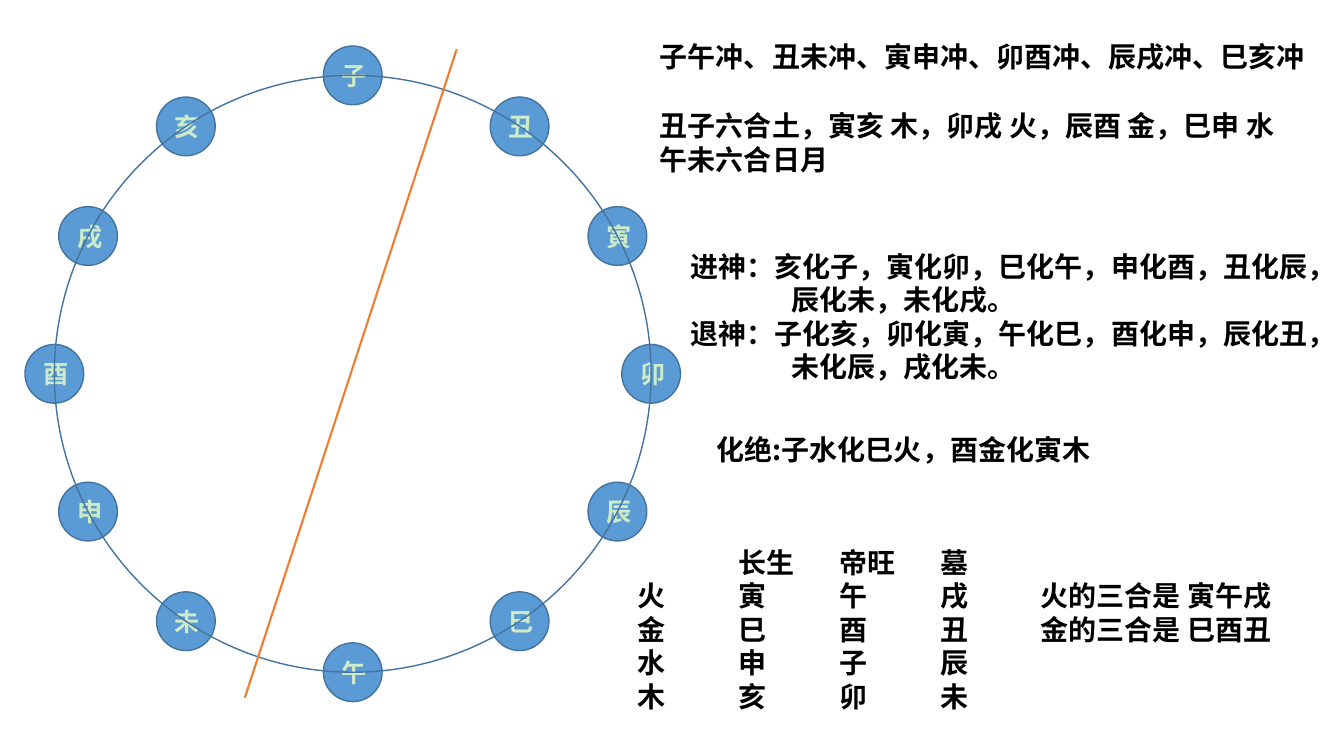
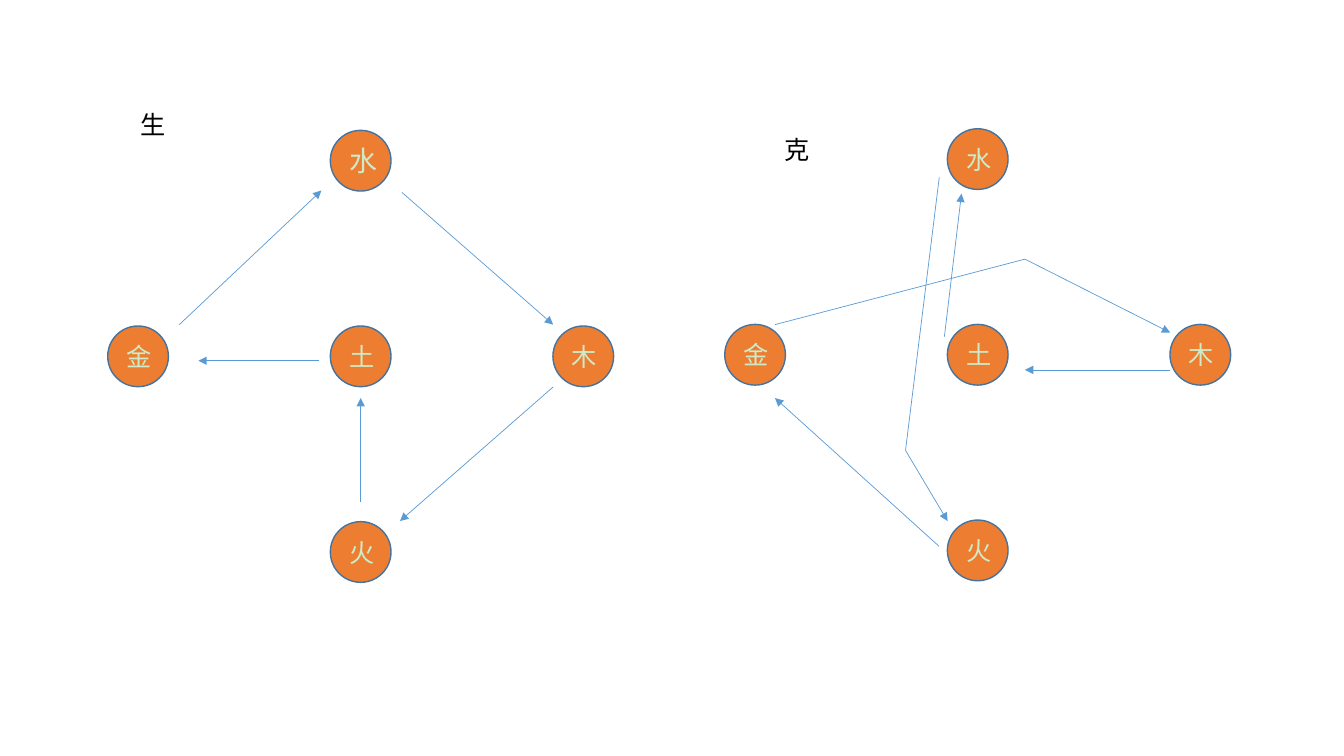
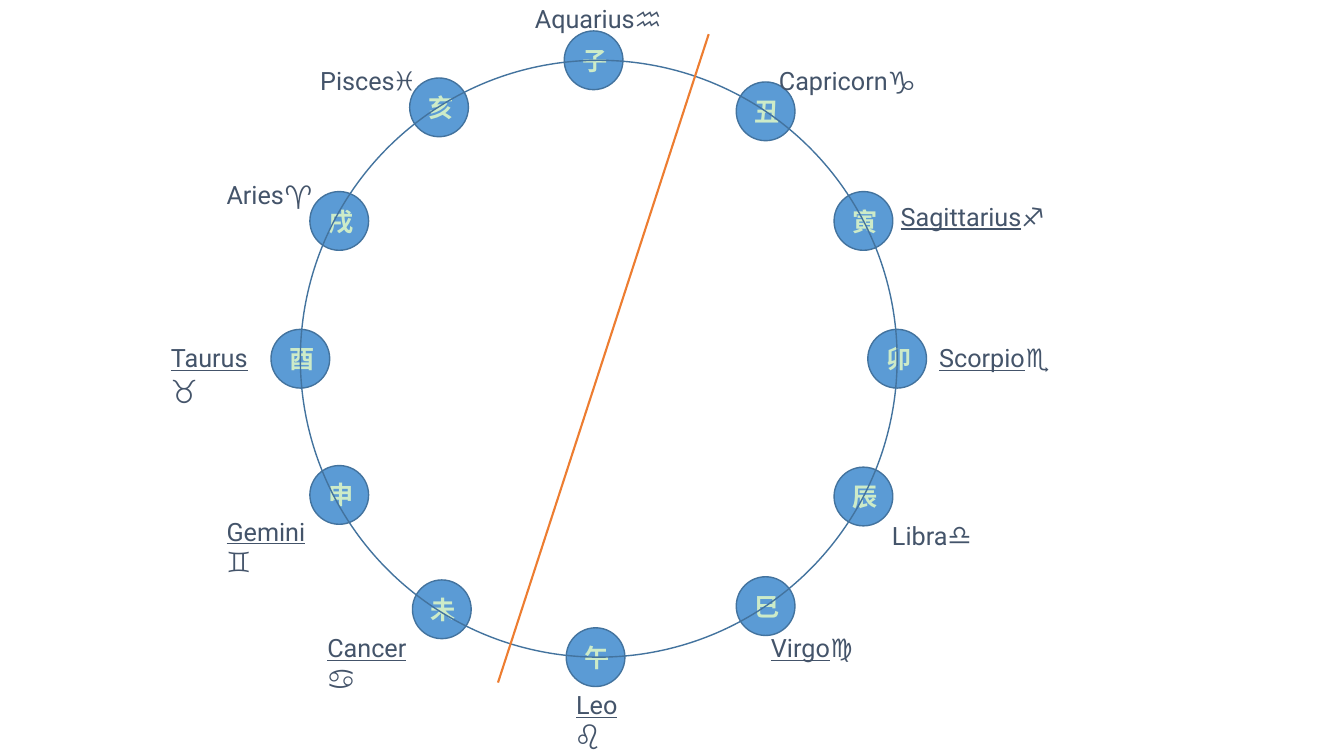
from dataclasses import dataclass
from math import cos, radians, sin

from lxml.etree import SubElement
from pptx import Presentation
from pptx.dml.color import RGBColor as Rgb
from pptx.enum.shapes import MSO_CONNECTOR as Connector, MSO_SHAPE as Preset
from pptx.enum.text import MSO_ANCHOR as Anchor, PP_ALIGN as Align
from pptx.oxml.ns import qn
from pptx.util import Cm, Inches, Pt


@dataclass(frozen=True)
class Theme:
    blue: str = "5B9BD5"
    orange: str = "ED7D31"
    outline: str = "43739E"
    pale: str = "CDEBC8"
    black: str = "000000"
    slate: str = "44546A"
    chinese: str = "Noto Sans CJK SC"
    plain: str = "Calibri"
    zodiac: str = "Roboto"
    label: int = 18
    note: int = 20
    note_pitch: int = 24


theme = Theme()


def put_box(page, left, top, width, height, text="", oval=False, fill=None, font=theme.plain,
            size=theme.label, color=theme.black, bold=False, pitch=None, underlined=0):
    """Add an oval or a text box; underlined counts the leading letters to underline."""
    area = Cm(left), Cm(top), Cm(width), Cm(height)
    if oval:
        box = page.shapes.add_shape(Preset.OVAL, *area)
        box.shadow.inherit = False
        box.line.color.rgb = Rgb.from_string(theme.outline)
        box.line.width = Pt(1)
        if fill:
            box.fill.solid()
            box.fill.fore_color.rgb = Rgb.from_string(fill)
        else:
            box.fill.background()
    else:
        box = page.shapes.add_textbox(*area)
    frame = box.text_frame
    frame.word_wrap = True
    frame.vertical_anchor = Anchor.MIDDLE if oval else Anchor.TOP
    for number, line in enumerate(text.split("\n")):
        para = frame.add_paragraph() if number else frame.paragraphs[0]
        para.alignment = Align.CENTER if oval else Align.LEFT
        if pitch:
            para.line_spacing = Pt(pitch)
        if "\t" in line:
            stops = SubElement(para._p.get_or_add_pPr(), qn("a:tabLst"))
            for inch in range(1, 5):
                SubElement(stops, qn("a:tab"), pos=str(Inches(inch)), algn="l")
        for part, underline in ((line[:underlined], True), (line[underlined:], False)):
            if not part:
                continue
            span = para.add_run()
            span.text = part
            span.font.size = Pt(size)
            span.font.bold = bold
            span.font.underline = underline
            span.font.color.rgb = Rgb.from_string(color)
            span.font.name = font
            SubElement(span.font._element, qn("a:ea"), typeface=font)


def put_line(page, start, end, color, width, arrow=False):
    line = page.shapes.add_connector(Connector.STRAIGHT, *map(Cm, start + end))
    line.line.color.rgb = Rgb.from_string(color)
    line.line.width = Pt(width)
    properties = line._element.spPr
    if arrow:
        SubElement(properties.find(qn("a:ln")), qn("a:tailEnd"), type="triangle")
    SubElement(properties, qn("a:effectLst"))


deck = Presentation()
deck.slide_width, deck.slide_height = Cm(33.87), Cm(19.05)
branch_page, element_page, zodiac_page = [
    deck.slides.add_slide(deck.slide_layouts[6]) for _ in range(3)]

# Rings of the twelve branches, clockwise from the top
branches = "子丑寅卯辰巳午未申酉戌亥"
angles = (0, 34, 62.5, 90, 117.5, 146, 180, 214, 242.5, 270, 297.5, 326)
radius, node = 7.52, 1.48
zodiac_nudges = {"子": (-0.13, 0), "午": (-0.08, 0), "未": (0.25, 0.08),
                 "申": (0.13, -0.04), "戌": (0.13, 0), "亥": (0.18, -0.1)}
rings = (
    (branch_page, 8.89, 9.42, {}, (6.17, 17.58), (11.51, 1.24)),
    (zodiac_page, 15.09, 9.04, zodiac_nudges, (12.55, 17.2), (17.86, 0.86)),
)
for page, center_x, center_y, nudges, start, end in rings:
    for branch, angle in zip(branches, angles):
        shift_x, shift_y = nudges.get(branch, (0, 0))
        x = center_x + radius * sin(radians(angle)) + shift_x
        y = center_y - radius * cos(radians(angle)) + shift_y
        put_box(page, x - node / 2, y - node / 2, node, node, branch, oval=True,
                fill=theme.blue, font=theme.chinese, color=theme.pale, bold=True)
    put_box(page, center_x - radius, center_y - radius, 2 * radius, 2 * radius, oval=True)
    put_line(page, start, end, theme.orange, 1.5)

# Notes beside the first ring
notes = (
    (16.38, 0.86, 17, 1.12, "子午冲、丑未冲、寅申冲、卯酉冲、辰戌冲、巳亥冲"),
    (16.38, 2.62, 16.94, 1.96,
     "丑子六合土，寅亥 木，卯戌 火，辰酉 金，巳申 水\n午未六合日月"),
    (15.82, 13.61, 16.94, 4.52,
     "\t长生\t帝旺\t墓\n"
     "火\t寅\t午\t戌\t火的三合是 寅午戌\n"
     "金\t巳\t酉\t丑\t金的三合是 巳酉丑\n"
     "水\t申\t子\t辰\n"
     "木\t亥\t卯\t未"),
    (17.15, 6.15, 16.94, 3.68,
     "进神：亥化子，寅化卯，巳化午，申化酉，丑化辰，\n"
     "\t辰化未，未化戌。\n"
     "退神：子化亥，卯化寅，午化巳，酉化申，辰化丑，\n"
     "\t未化辰，戌化未。"),
    (17.81, 10.77, 10.1, 1.12, "化绝:子水化巳火，酉金化寅木"),
)
for *area, text in notes:
    put_box(branch_page, *area, text, font=theme.chinese, size=theme.note,
            bold=True, pitch=theme.note_pitch)

# Five elements: one cross for 生, one for 克
disc, reach_x, reach_y = 1.53, 5.61, 4.93
places = {"木": (1, 0), "火": (0, 1), "金": (-1, 0), "水": (0, -1), "土": (0, 0)}
crosses = (
    ("生", 3.28, 2.62, 9.09, 8.98, {"水": theme.note}, (
        ((4.52, 8.18), (8.1, 4.8)),
        ((10.13, 4.85), (13.94, 8.18)),
        ((13.94, 9.75), (10.08, 13.13)),
        ((8.05, 9.09), (5, 9.09)),
        ((9.09, 12.65), (9.09, 10.03)))),
    ("克", 19.53, 3.25, 24.64, 8.94, {}, (
        ((19.53, 8.18), (25.83, 6.53), (29.49, 8.38)),
        ((29.49, 9.32), (25.83, 9.32)),
        ((23.8, 8.48), (24.23, 4.88)),
        ((23.67, 4.47), (22.82, 11.35), (23.88, 13.13)),
        ((23.67, 13.77), (19.53, 10.03)))),
)
for title, title_x, title_y, center_x, center_y, sizes, routes in crosses:
    put_box(element_page, title_x, title_y, 1.15, 1.02, title)
    for element, (column, row) in places.items():
        put_box(element_page, center_x + column * reach_x - disc / 2,
                center_y + row * reach_y - disc / 2, disc, disc, element, oval=True,
                fill=theme.orange, size=sizes.get(element, theme.label), color=theme.pale)
    for route in routes:
        for start, end in zip(route, route[1:]):
            put_line(element_page, start, end, theme.blue, 0.5, arrow=end == route[-1])

# Zodiac signs around the last ring
signs = (
    ("Aries", "♈", 5.46, 4.39, 2.74, False),
    ("Taurus", "♉", 4.06, 8.51, 2.8, True),
    ("Gemini", "♊", 5.46, 12.88, 2.8, True),
    ("Cancer", "♋", 8, 15.82, 2.8, True),
    ("Leo", "♌", 14.27, 17.25, 1.9, True),
    ("Virgo", "♍", 19.18, 15.82, 2.8, True),
    ("Libra", "♎", 22.23, 12.98, 2.75, False),
    ("Scorpio", "♏", 23.42, 8.51, 3.5, True),
    ("Sagittarius", "♐", 22.45, 4.95, 4.57, True),
    ("Capricorn", "♑", 19.38, 1.52, 4.11, False),
    ("Aquarius", "♒", 13.23, -0.05, 3.8, False),
    ("Pisces", "♓", 7.82, 1.52, 3, False),
)
for name, symbol, left, top, width, underline in signs:
    put_box(zodiac_page, left, top, width, 1.02, name + symbol, font=theme.zodiac,
            color=theme.slate, underlined=len(name) if underline else 0)

deck.save("out.pptx")
